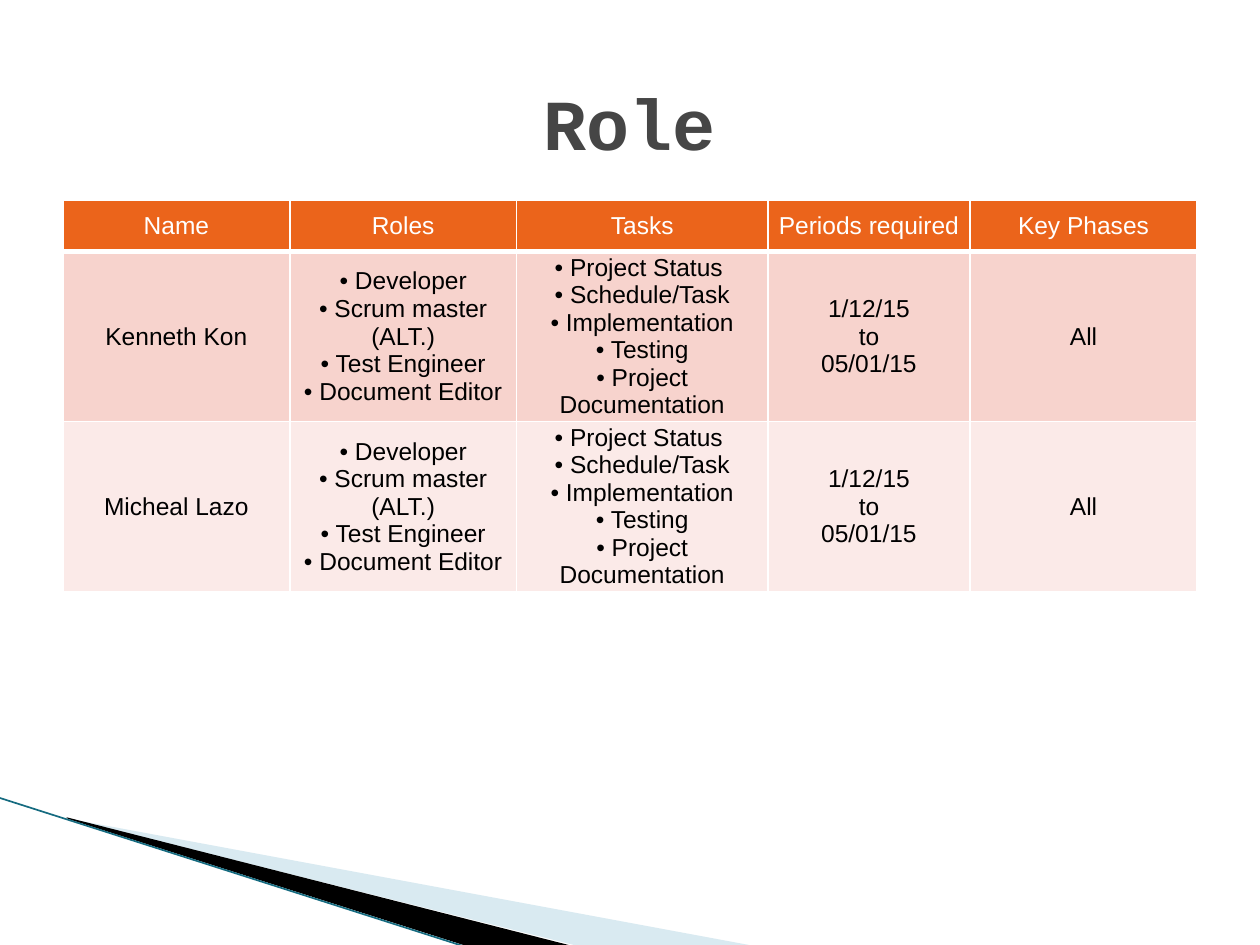
"""Build the Role slide: a title, a table of team roles and a corner ornament."""
from lxml.etree import SubElement
from pptx import Presentation
from pptx.dml.color import RGBColor
from pptx.enum.shapes import MSO_CONNECTOR
from pptx.enum.text import MSO_ANCHOR, PP_ALIGN
from pptx.oxml.ns import qn
from pptx.util import Pt

HUES = {
    "title": "464646", "head": "EB641B", "odd": "F7D3CD", "even": "FBEAE8",
    "white": "FFFFFF", "black": "000000", "pale": "A0CBDC", "line": "156B80",
}


def paint(fill, name):
    fill.solid()
    fill.fore_color.rgb = RGBColor.from_string(HUES[name])


def edge(cell, side, width):
    line = SubElement(cell._tc.get_or_add_tcPr(), qn("a:ln" + side), w=str(Pt(width)))
    solid = SubElement(line, qn("a:solidFill"))
    SubElement(solid, qn("a:srgbClr"), val=HUES["white"])


deck = Presentation()
deck.slide_width, deck.slide_height = Pt(720), Pt(540)
slide = deck.slides.add_slide(deck.slide_layouts[5])
shapes = slide.shapes

wedges = [
    ("pale", [(39.6, 468.5), (428.4, 540.5), (328.3, 540.5), (39.6, 468)]),
    ("black", [(38.2, 467.3), (329, 540.7), (267.8, 541.4), (38.9, 468)]),
]
for hue, points in wedges:
    pen = shapes.build_freeform(*points[0], scale=Pt(1))
    pen.add_line_segments(points[1:], close=True)
    wedge = pen.convert_to_shape()
    wedge.shadow.inherit = False
    wedge.line.fill.background()
    paint(wedge.fill, hue)
    if hue == "pale":
        tint = wedge.fill._xPr.find(qn("a:solidFill"))[0]
        SubElement(tint, qn("a:alpha"), val="40000")

rule = shapes.add_connector(MSO_CONNECTOR.STRAIGHT, Pt(-0.7), Pt(455.8), Pt(267.1), Pt(541.4))
paint(rule.line.fill, "line")
rule.line.width = Pt(0.95)
SubElement(rule._element.spPr, qn("a:effectLst"))

title = shapes.title
title.left, title.top, title.width, title.height = Pt(36), Pt(24.5), Pt(648), Pt(90)
title.text_frame.vertical_anchor = MSO_ANCHOR.MIDDLE
para = title.text_frame.paragraphs[0]
para.alignment = PP_ALIGN.CENTER
run = para.add_run()
run.text = "Role"
run.font.name, run.font.size, run.font.bold = "Courier New", Pt(41), True
paint(run.font.fill, "title")

duties = [
    "• Developer\n• Scrum master (ALT.)\n• Test Engineer\n• Document Editor",
    "• Project Status \n• Schedule/Task\n• Implementation\n• Testing\n• Project Documentation",
    "1/12/15\nto\n05/01/15",
    "All",
]
rows = [
    ("head", "white", ["Name", "Roles", "Tasks", "Periods required", "Key Phases"]),
    ("odd", "black", ["Kenneth Kon", *duties]),
    ("even", "black", ["Micheal Lazo", *duties]),
]
widths = [129.6, 129.6, 143.6, 115.6, 129.6]
heights = [29.2, 97.2, 97.2]

frame = shapes.add_table(3, 5, Pt(36), Pt(114.5), Pt(648), Pt(sum(heights)))
table = frame.table
for col, width in zip(table.columns, widths):
    col.width = Pt(width)
for row, height, (hue, ink, texts) in zip(table.rows, heights, rows):
    row.height = Pt(height)
    for cell, text in zip(row.cells, texts):
        cell.margin_left = cell.margin_right = Pt(2.2)
        cell.margin_top = cell.margin_bottom = Pt(1.4)
        cell.vertical_anchor = MSO_ANCHOR.MIDDLE
        for side in "LRTB":
            edge(cell, side, 3 if hue == "head" and side == "B" else 1)
        paint(cell.fill, hue)
        para = cell.text_frame.paragraphs[0]
        para.alignment = PP_ALIGN.CENTER
        for num, part in enumerate(text.split("\n")):
            if num:
                para.add_line_break()
            run = para.add_run()
            run.text = part
            run.font.name, run.font.size, run.font.bold = "Arial", Pt(14), False
            paint(run.font.fill, ink)

deck.save("out.pptx")
